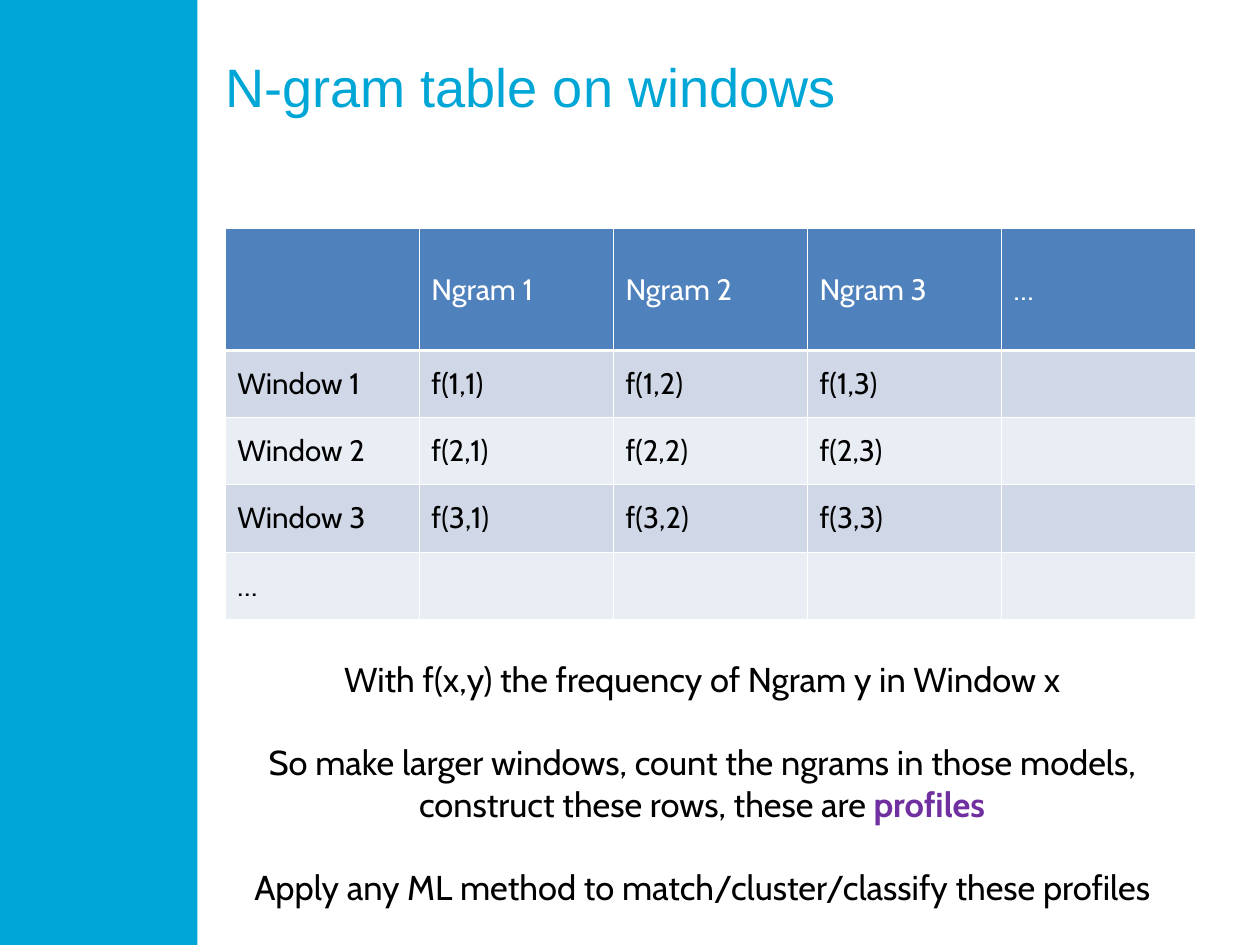
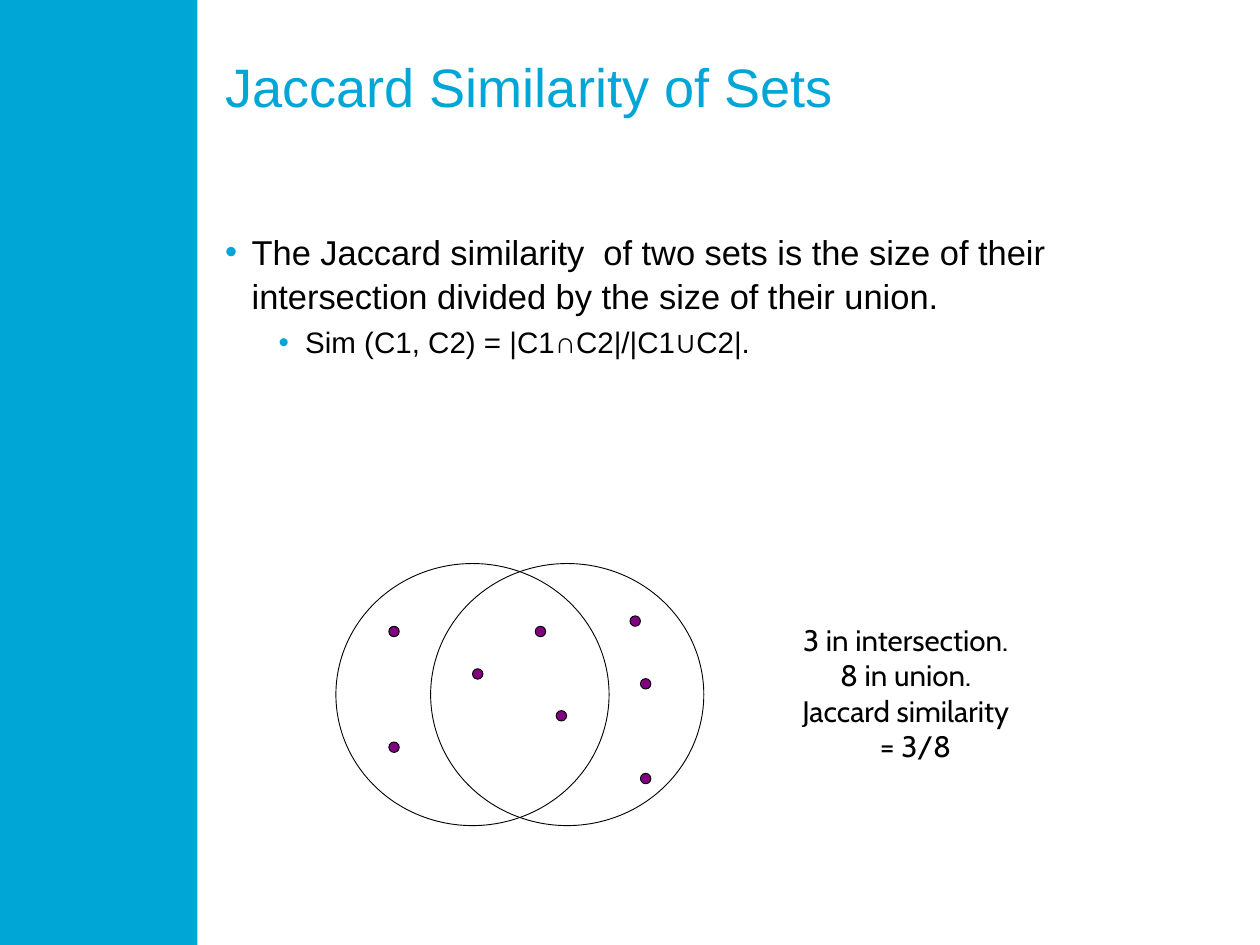
"""Build two slides on n-gram profiles and Jaccard similarity."""
from dataclasses import dataclass

from lxml import etree
from pptx import Presentation
from pptx.dml.color import RGBColor
from pptx.enum import shapes, text
from pptx.oxml import ns
from pptx.util import Pt


@dataclass(frozen=True)
class Theme:
    accent: str = "00A6D6"
    ink: str = "000000"
    paper: str = "FFFFFF"
    header: str = "4F81BD"
    stripes: tuple = ("D0D8E8", "E9EDF4")
    emphasis: str = "7030A0"
    dot: str = "800080"
    heading_font: str = "Arial"
    note_font: str = "Cabin"
    title_size: float = 44
    large: float = 28
    medium: float = 24


THEME = Theme()
WIDTH, HEIGHT = 1024, 768
BAND_WIDTH = 160.5
LEFT, CONTENT_WIDTH = 183, 788.5
CONTENT_TOP = 186


def rgb(color):
    return RGBColor.from_string(color)


def add_run(paragraph, wording, font, size, color=THEME.ink, bold=False):
    run = paragraph.add_run()
    run.text = wording
    run.font.name = font
    run.font.size = Pt(size)
    run.font.bold = bold
    run.font.color.rgb = rgb(color)


def add_frame(slide, left, top, width, height, inset=(0, 0)):
    frame = slide.shapes.add_textbox(Pt(left), Pt(top), Pt(width), Pt(height)).text_frame
    frame.word_wrap = True
    frame.margin_left = frame.margin_right = Pt(inset[0])
    frame.margin_top = frame.margin_bottom = Pt(inset[1])
    return frame


def paragraph_at(frame, index):
    return frame.add_paragraph() if index else frame.paragraphs[0]


def add_preset(slide, kind, left, top, width, height, fill=None, outline=None):
    preset = slide.shapes.add_shape(kind, Pt(left), Pt(top), Pt(width), Pt(height))
    preset.shadow.inherit = False
    if fill:
        preset.fill.solid()
        preset.fill.fore_color.rgb = rgb(fill)
    else:
        preset.fill.background()
    if outline:
        preset.line.color.rgb = rgb(outline)
        preset.line.width = Pt(0.75)
    else:
        preset.line.fill.background()


def add_titled_slide(deck, title):
    slide = deck.slides.add_slide(deck.slide_layouts[6])
    add_preset(slide, shapes.MSO_SHAPE.RECTANGLE, 0, 0, BAND_WIDTH, HEIGHT, THEME.accent)
    frame = add_frame(slide, LEFT, 43, CONTENT_WIDTH, 114)
    add_run(frame.paragraphs[0], title, THEME.heading_font, THEME.title_size, THEME.accent)
    return slide


def add_borders(cell, bottom_width):
    properties = cell._tc.get_or_add_tcPr()
    for side, width in (("L", 1), ("R", 1), ("T", 1), ("B", bottom_width)):
        edge = etree.SubElement(properties, ns.qn(f"a:ln{side}"), w=str(Pt(width)))
        paint = etree.SubElement(edge, ns.qn("a:solidFill"))
        etree.SubElement(paint, ns.qn("a:srgbClr"), val=THEME.paper)


def style_cell(cell, wording, fill, color, bottom_width):
    add_borders(cell, bottom_width)
    cell.fill.solid()
    cell.fill.fore_color.rgb = rgb(fill)
    cell.vertical_anchor = text.MSO_ANCHOR.MIDDLE
    cell.margin_left = cell.margin_right = Pt(10)
    cell.margin_top = cell.margin_bottom = Pt(5)
    if wording:
        add_run(cell.text_frame.paragraphs[0], wording, THEME.note_font, THEME.medium, color)


def add_frequency_table(slide, rows):
    heights = [98.6] + [54.7] * (len(rows) - 1)
    table = slide.shapes.add_table(
        len(rows), len(rows[0]), Pt(LEFT), Pt(CONTENT_TOP), Pt(CONTENT_WIDTH), Pt(sum(heights))
    ).table
    for column in table.columns:
        column.width = Pt(CONTENT_WIDTH / len(rows[0]))
    for r, (row, height) in enumerate(zip(rows, heights)):
        table.rows[r].height = Pt(height)
        fill, color, bottom = (
            (THEME.stripes[(r - 1) % 2], THEME.ink, 1) if r else (THEME.header, THEME.paper, 3)
        )
        for c, wording in enumerate(row):
            style_cell(table.cell(r, c), wording, fill, color, bottom)


def add_centered_note(slide, box, inset, size, lines):
    """Write lines given as (space before, left indent, [(wording, color, bold)])."""
    frame = add_frame(slide, *box, inset)
    for index, (space, indent, runs) in enumerate(lines):
        paragraph = paragraph_at(frame, index)
        paragraph.alignment = text.PP_ALIGN.CENTER
        paragraph.space_before = Pt(space)
        paragraph._p.get_or_add_pPr().set("marL", str(Pt(indent)))
        for wording, color, bold in runs:
            add_run(paragraph, wording, THEME.note_font, size, color, bold)


def add_bullets(slide, bullets):
    frame = add_frame(slide, LEFT, CONTENT_TOP, CONTENT_WIDTH, 538.5)
    for index, (level, margin, size, wording) in enumerate(bullets):
        paragraph = paragraph_at(frame, index)
        paragraph.level = level
        paragraph.line_spacing = Pt(35.5)
        properties = paragraph._p.get_or_add_pPr()
        properties.set("marL", str(Pt(margin)))
        properties.set("indent", str(Pt(-21.5)))
        paint = etree.SubElement(properties, ns.qn("a:buClr"))
        etree.SubElement(paint, ns.qn("a:srgbClr"), val=THEME.accent)
        etree.SubElement(properties, ns.qn("a:buFont"), typeface=THEME.heading_font)
        etree.SubElement(properties, ns.qn("a:buChar"), char="•")
        add_run(paragraph, wording, THEME.heading_font, size)


def add_venn(slide, elements):
    oval = shapes.MSO_SHAPE.OVAL
    for left in (350, 273):
        add_preset(slide, oval, left, 458, 222, 213, outline=THEME.ink)
    for left, top in elements:
        add_preset(slide, oval, left, top, 8.5, 8.5, THEME.dot, THEME.ink)


def build_ngram_slide(deck):
    slide = add_titled_slide(deck, "N-gram table on windows")
    numbers = (1, 2, 3)
    header = ["", *(f"Ngram {y}" for y in numbers), "…"]
    windows = [[f"Window {x}", *(f"f({x},{y})" for y in numbers), ""] for x in numbers]
    add_frequency_table(slide, [header, *windows, ["…", "", "", "", ""]])
    ink = THEME.ink
    add_centered_note(slide, (184.5, 531.5, 772, 211), (7.2, 3.6), THEME.large, [
        (0, 0, [("With f(x,y) the frequency of Ngram y in Window x", ink, False)]),
        (34, 0, [("So make larger windows, count the ngrams in those models,", ink, False)]),
        (0, 0, [("construct these rows, these are ", ink, False),
                ("profiles", THEME.emphasis, True)]),
        (34, 0, [("Apply any ML method to match/cluster/classify these profiles", ink, False)]),
    ])


def build_jaccard_slide(deck):
    slide = add_titled_slide(deck, "Jaccard Similarity of Sets")
    add_bullets(slide, [
        (0, 21.5, THEME.large, "The Jaccard similarity  of two sets is the size of their "
                               "intersection divided by the size of their union."),
        (1, 65, THEME.medium, "Sim (C1, C2) = |C1∩C2|/|C1∪C2|."),
    ])
    add_venn(slide, [
        (316, 509), (316, 603), (384, 543.5), (452, 577.5),
        (435, 509), (520.5, 551.5), (520.5, 628.5), (512, 500.5),
    ])
    findings = [("3 in intersection.", 0), ("8 in union.", 0),
                ("Jaccard similarity", 0), ("= 3/8", 16)]
    add_centered_note(slide, (634, 500.5, 204, 126.5), (10, 5), THEME.medium, [
        (0, indent, [(wording, THEME.ink, False)]) for wording, indent in findings
    ])


def main():
    deck = Presentation()
    deck.slide_width, deck.slide_height = Pt(WIDTH), Pt(HEIGHT)
    build_ngram_slide(deck)
    build_jaccard_slide(deck)
    deck.save("out.pptx")


if __name__ == "__main__":
    main()
